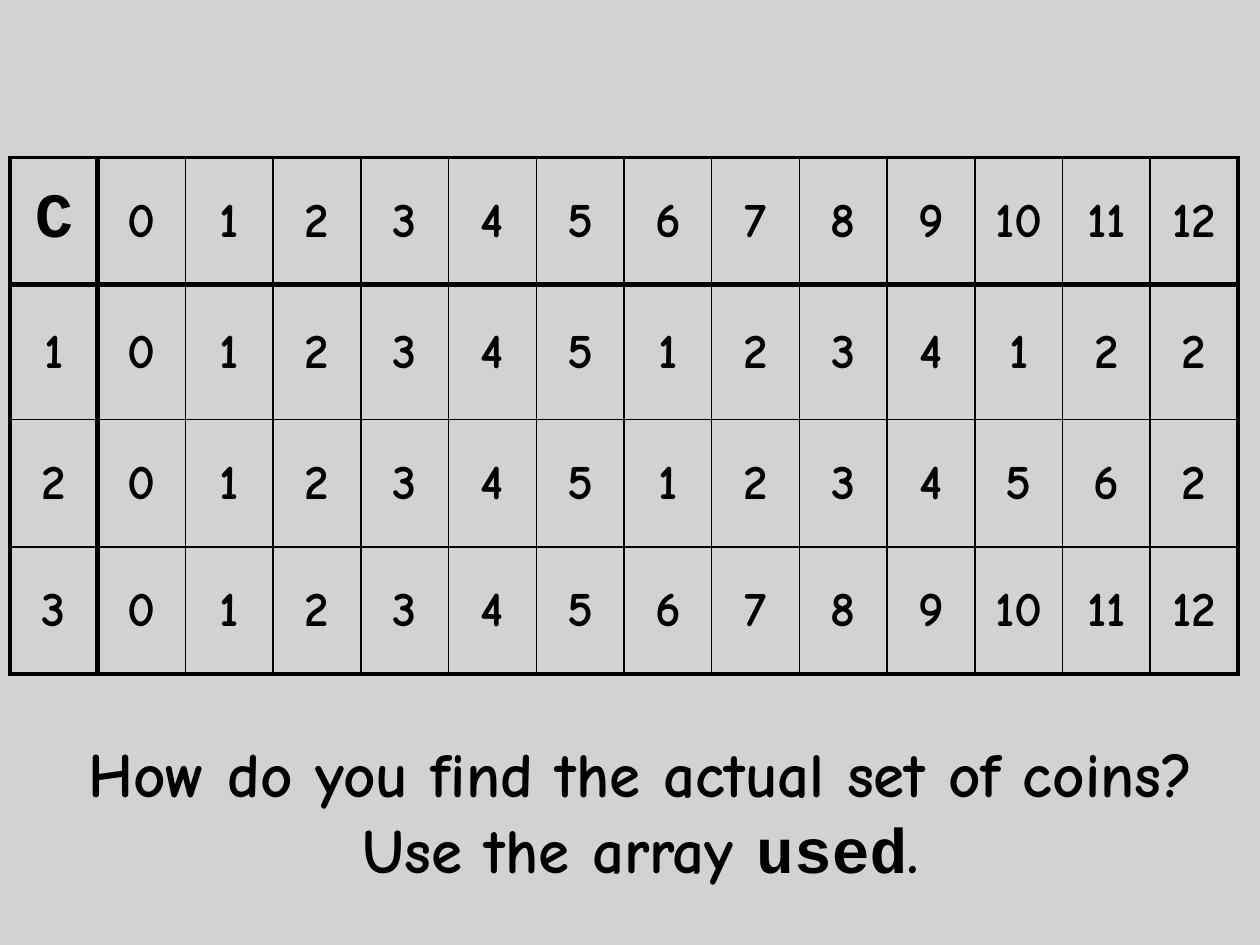
from lxml import etree
from pptx import Presentation
from pptx import util as u
from pptx.dml.color import RGBColor
from pptx.enum import shapes, text
from pptx.oxml import ns

BLACK = RGBColor(0x00, 0x00, 0x00)
SILVER = RGBColor(0xC0, 0xC0, 0xC0)
BODY_FONT = "Comic Neue"
CODE_FONT = "Courier New"

AMOUNTS = list(range(13))
COIN_ROWS = [
    ["C"] + AMOUNTS,
    [1, 0, 1, 2, 3, 4, 5, 1, 2, 3, 4, 1, 2, 2],
    [2, 0, 1, 2, 3, 4, 5, 1, 2, 3, 4, 5, 6, 2],
    [3] + AMOUNTS,
]
ROW_HEIGHTS = [1.01, 1.07, 1.01, 1.01]


class CoinSlide:
    thin, outer, heavy = 1, 2.25, 3

    def __init__(self, presentation):
        self.slide = presentation.slides.add_slide(presentation.slide_layouts[6])

    def add_text(self, paragraph, content, size, font=BODY_FONT):
        run = paragraph.add_run()
        run.text = content
        run.font.color.rgb = BLACK
        style = {"name": font, "size": u.Pt(size), "bold": True}
        for name, value in style.items():
            setattr(run.font, name, value)

    def add_backdrop(self, width, height, color, opacity):
        shape = self.slide.shapes.add_shape(
            shapes.MSO_SHAPE.RECTANGLE, 0, 0, width, height)
        shape.shadow.inherit = False
        shape.line.fill.background()
        shape.fill.solid()
        shape.fill.fore_color.rgb = color
        color_element = shape.fill._xPr.find(".//" + ns.qn("a:srgbClr"))
        etree.SubElement(color_element, ns.qn("a:alpha"), val=str(opacity * 1000))

    def edge_width(self, index, last):
        if index == 1:
            return self.heavy
        return self.outer if index in (0, last) else self.thin

    def add_border(self, cell, side, width):
        properties = cell._tc.get_or_add_tcPr()
        line = etree.SubElement(properties, ns.qn("a:ln" + side), w=str(u.Pt(width)))
        fill = etree.SubElement(line, ns.qn("a:solidFill"))
        etree.SubElement(fill, ns.qn("a:srgbClr"), val=str(BLACK))

    def add_table(self, left, top, width, heights, rows):
        row_count, column_count = len(rows), len(rows[0])
        table = self.slide.shapes.add_table(
            row_count, column_count, u.Inches(left), u.Inches(top),
            u.Inches(width), u.Inches(sum(heights))).table
        table.first_row = table.horz_banding = False
        for row, height in zip(table.rows, heights):
            row.height = u.Inches(height)
        for row, values in enumerate(rows):
            for column, value in enumerate(values):
                cell = table.cell(row, column)
                edges = {
                    "L": self.edge_width(column, column_count),
                    "R": self.edge_width(column + 1, column_count),
                    "T": self.edge_width(row, row_count),
                    "B": self.edge_width(row + 1, row_count),
                }
                for side, edge in edges.items():
                    self.add_border(cell, side, edge)
                cell.fill.background()
                cell.vertical_anchor = text.MSO_ANCHOR.MIDDLE
                paragraph = cell.text_frame.paragraphs[0]
                paragraph.alignment = text.PP_ALIGN.CENTER
                size, font = (36, CODE_FONT) if value == "C" else (28, BODY_FONT)
                self.add_text(paragraph, str(value), size, font)

    def add_question(self, left, top, width, height, parts):
        frame = self.slide.shapes.add_textbox(
            *map(u.Inches, (left, top, width, height))).text_frame
        frame.word_wrap = True
        frame.auto_size = text.MSO_AUTO_SIZE.SHAPE_TO_FIT_TEXT
        paragraph = frame.paragraphs[0]
        paragraph.alignment = text.PP_ALIGN.CENTER
        for content, font in parts:
            self.add_text(paragraph, content, 36, font)


def main():
    presentation = Presentation()
    presentation.slide_width = u.Inches(10)
    presentation.slide_height = u.Inches(7.5)
    slide = CoinSlide(presentation)
    slide.add_backdrop(
        presentation.slide_width, presentation.slide_height, SILVER, 70)
    slide.add_table(0.08, 1.25, 9.75, ROW_HEIGHTS, COIN_ROWS)
    slide.add_question(0.42, 5.78, 9.33, 1.31, [
        ("How do you find the actual set of coins? Use the array ", BODY_FONT),
        ("used", CODE_FONT),
        (".", BODY_FONT),
    ])
    presentation.save("out.pptx")


if __name__ == "__main__":
    main()
